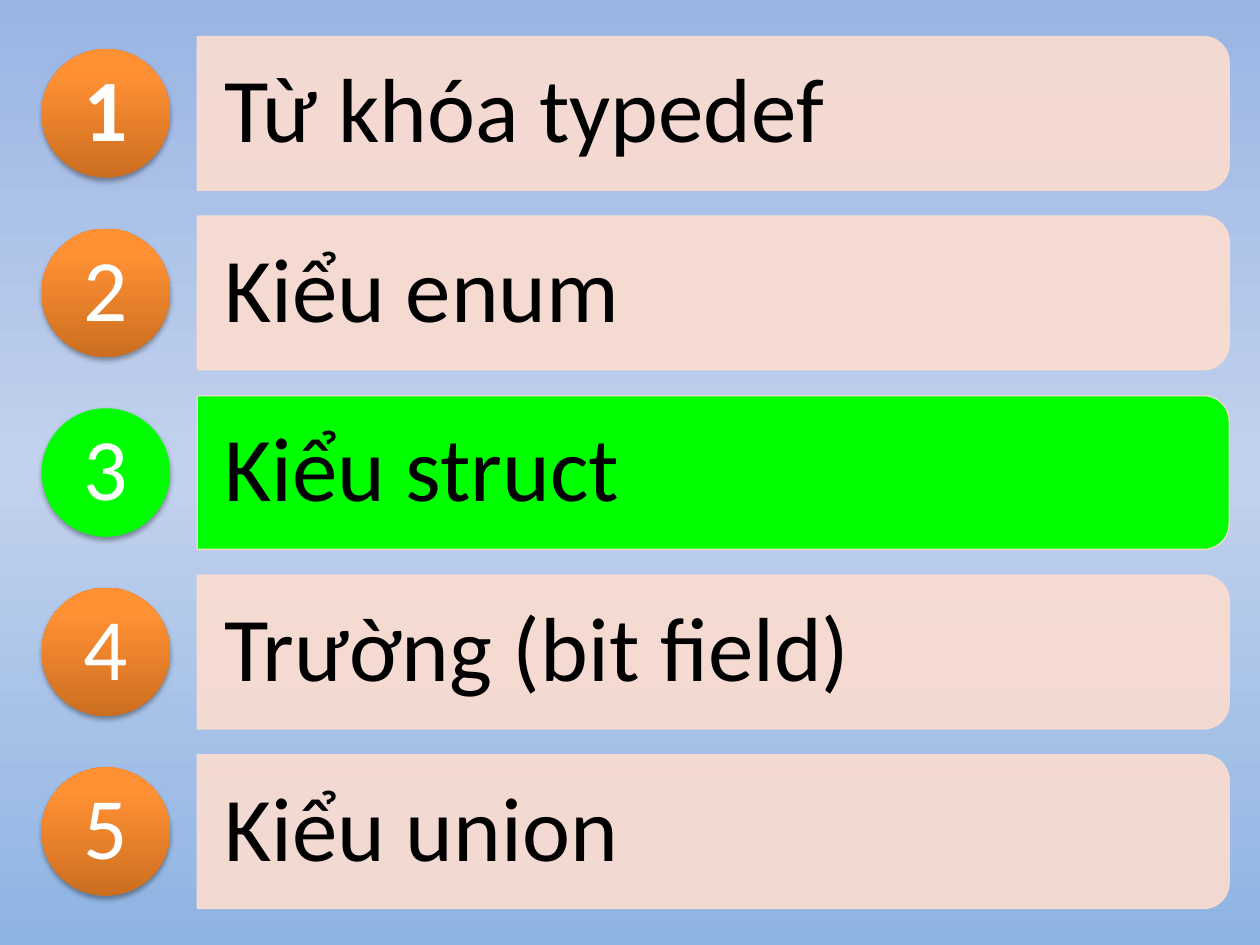
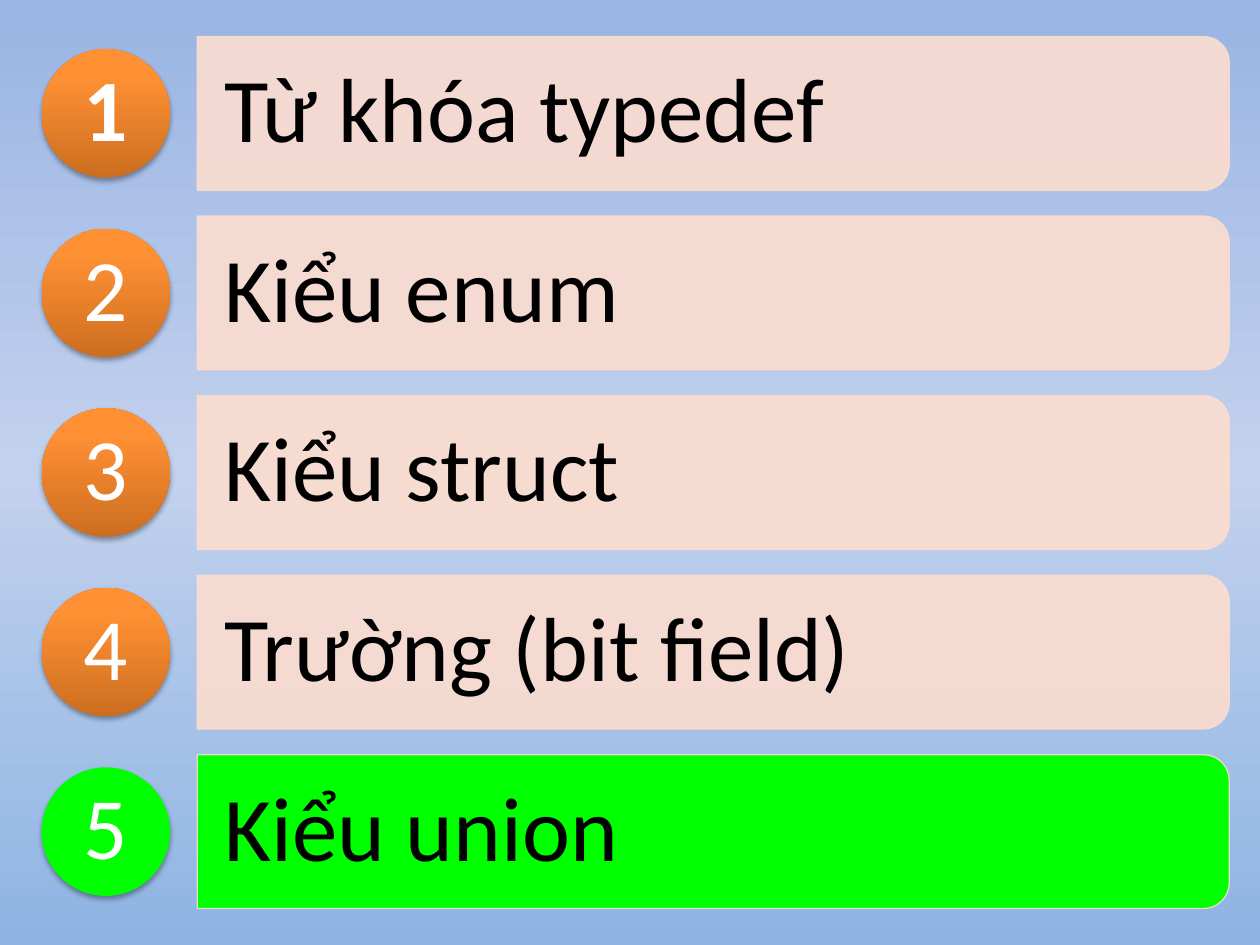
from typing import NamedTuple

from lxml import etree
from pptx import Presentation
from pptx import util as u
from pptx.dml.color import RGBColor
from pptx.enum import shapes, text
from pptx.oxml.ns import qn

# Colours and type
BLACK = RGBColor(0x00, 0x00, 0x00)
WHITE = RGBColor(0xFF, 0xFF, 0xFF)
PEACH = RGBColor(0xFC, 0xDD, 0xCF)
GREEN = RGBColor(0x00, 0xFF, 0x00)
SKY = ((0, RGBColor(0x9A, 0xB5, 0xE4)), (50, RGBColor(0xC2, 0xD1, 0xED)),
       (100, RGBColor(0x8E, 0xB4, 0xE3)))
ORANGE = ((0, RGBColor(0xCC, 0x6E, 0x20)), (80, RGBColor(0xFF, 0x90, 0x34)),
          (100, RGBColor(0xFF, 0x91, 0x36)))
FONT = "Calibri"

# Grid: a hundred columns across, topic rows 19 % of the height apart
SLIDE_WIDTH, SLIDE_HEIGHT = u.Inches(10), u.Inches(7.5)
COLUMN = SLIDE_WIDTH / 100
ROW_STEP = SLIDE_HEIGHT * 0.19


class Box(NamedTuple):
    """Size in columns, centred on a column and on its topic row."""
    center: float
    width: float
    height: float

    def place(self, middle: float) -> tuple[int, int, int, int]:
        return (round((self.center - self.width / 2) * COLUMN),
                round(middle - self.height * COLUMN / 2),
                round(self.width * COLUMN), round(self.height * COLUMN))


class Topic(NamedTuple):
    title: str
    bold_number: bool = False


# The bar is a tall shape turned on its side
BAR = Box(56.6, 12.2, 81.9)
TITLE = Box(56.25, 81.3, 11)
CIRCLE = Box(8.4, 10.2, 10.2)
NUMBER = Box(8.4, 7.2, 7.2)

TOPICS = (Topic("Từ khóa typedef", bold_number=True), Topic("Kiểu enum"),
          Topic("Kiểu struct"), Topic("Trường (bit field)"), Topic("Kiểu union"))
CURRENT_TOPICS = (3, 5)


def add_child(parent, tag: str, **attributes):
    return etree.SubElement(parent, qn(tag),
                            {name: str(value) for name, value in attributes.items()})


def set_gradient(fill, element, stops, angle: int) -> None:
    fill.gradient()
    fill.gradient_angle = angle
    stop_list = element.find(".//" + qn("a:gsLst"))
    for stop in list(stop_list):
        stop_list.remove(stop)
    for position, color in stops:
        stop = add_child(stop_list, "a:gs", pos=position * 1000)
        add_child(stop, "a:srgbClr", val=color)


def set_opacity(fill, element, percent: int) -> None:
    color = element.find(qn("a:solidFill")).find(qn("a:srgbClr"))
    add_child(color, "a:alpha", val=percent * 1000)


def add_shadow(shape) -> None:
    effects = shape._element.spPr.find(qn("a:effectLst"))
    shadow = add_child(effects, "a:outerShdw", blurRad=u.Pt(3.1), dist=u.Pt(1.8),
                       dir=90 * 60000, rotWithShape=0)
    add_child(add_child(shadow, "a:srgbClr", val=BLACK), "a:alpha", val=35000)


def add_text(slide, words: str, place, *, size: int, color: RGBColor,
             bold: bool = False, align=text.PP_ALIGN.LEFT,
             side: float = 0, edge: float = 0) -> None:
    frame = slide.shapes.add_textbox(*place).text_frame
    frame.word_wrap = True
    frame.vertical_anchor = text.MSO_ANCHOR.MIDDLE
    frame.margin_left = frame.margin_right = u.Inches(side)
    frame.margin_top = frame.margin_bottom = u.Inches(edge)
    paragraph = frame.paragraphs[0]
    paragraph.alignment = align
    paragraph.line_spacing = 0.9
    run = paragraph.add_run()
    run.text = words
    run.font.name, run.font.size = FONT, u.Pt(size)
    run.font.bold, run.font.color.rgb = bold, color


def add_bar(slide, middle: float, current: bool) -> None:
    bar = slide.shapes.add_shape(shapes.MSO_SHAPE.ROUND_2_SAME_RECTANGLE,
                                 *BAR.place(middle))
    bar.rotation = 90
    bar.shadow.inherit = False
    bar.fill.solid()
    bar.fill.fore_color.rgb = GREEN if current else PEACH
    bar.line.color.rgb = PEACH
    bar.line.width = u.Pt(0.75)
    properties = bar._element.spPr
    set_opacity(bar.line.fill, properties.find(qn("a:ln")), 90)
    if not current:
        set_opacity(bar.fill, properties, 90)


def add_circle(slide, middle: float, current: bool) -> None:
    circle = slide.shapes.add_shape(shapes.MSO_SHAPE.OVAL, *CIRCLE.place(middle))
    circle.shadow.inherit = False
    circle.line.fill.background()
    if current:
        circle.fill.solid()
        circle.fill.fore_color.rgb = GREEN
    else:
        set_gradient(circle.fill, circle._element, ORANGE, 90)
    add_shadow(circle)


def add_agenda(presentation, current_number: int) -> None:
    slide = presentation.slides.add_slide(presentation.slide_layouts[6])
    set_gradient(slide.background.fill, slide._element, SKY, 270)
    first_middle = SLIDE_HEIGHT / 2 - ROW_STEP * (len(TOPICS) - 1) / 2
    for number, topic in enumerate(TOPICS, start=1):
        middle = first_middle + (number - 1) * ROW_STEP
        current = number == current_number
        add_bar(slide, middle, current)
        add_text(slide, topic.title, TITLE.place(middle), size=52, color=BLACK,
                 side=0.22, edge=0.14)
        add_circle(slide, middle, current)
        add_text(slide, str(number), NUMBER.place(middle), size=50, color=WHITE,
                 bold=topic.bold_number, align=text.PP_ALIGN.CENTER)


def main() -> None:
    presentation = Presentation()
    presentation.slide_width, presentation.slide_height = SLIDE_WIDTH, SLIDE_HEIGHT
    for current_number in CURRENT_TOPICS:
        add_agenda(presentation, current_number)
    presentation.save("out.pptx")


if __name__ == "__main__":
    main()
